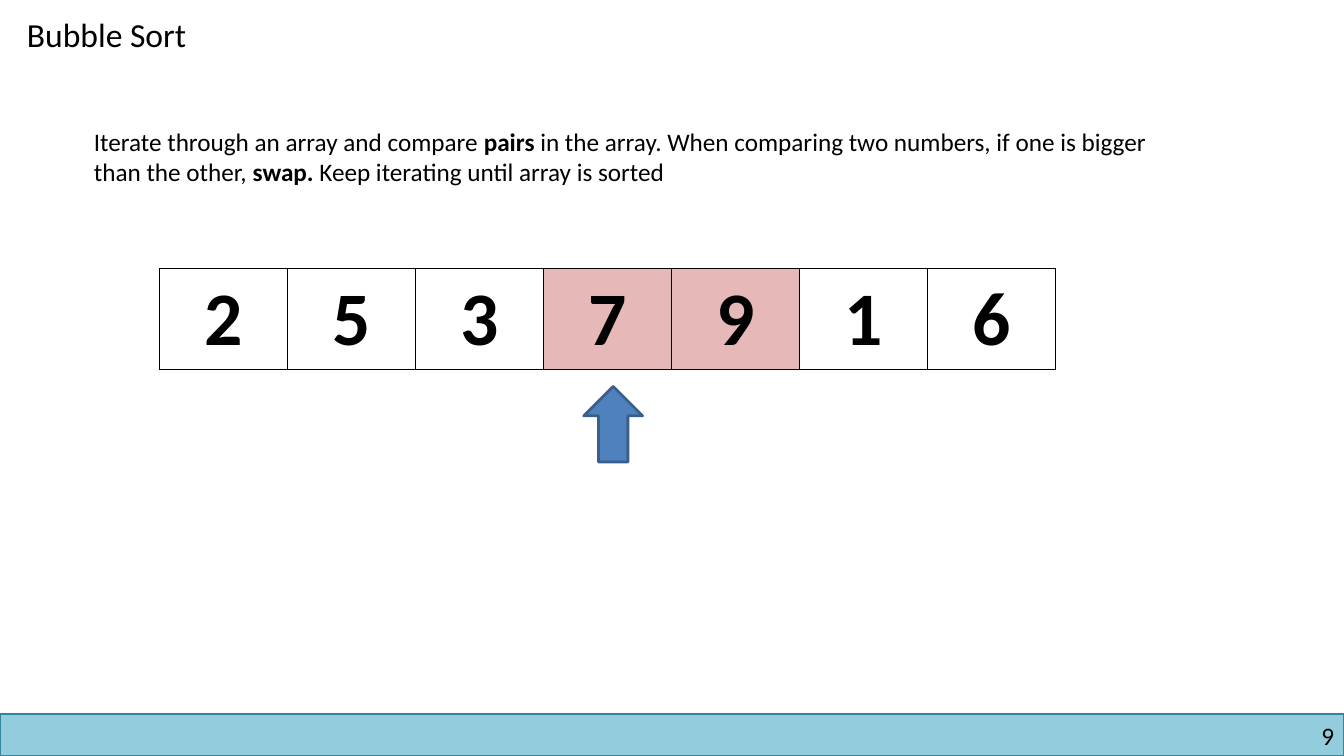
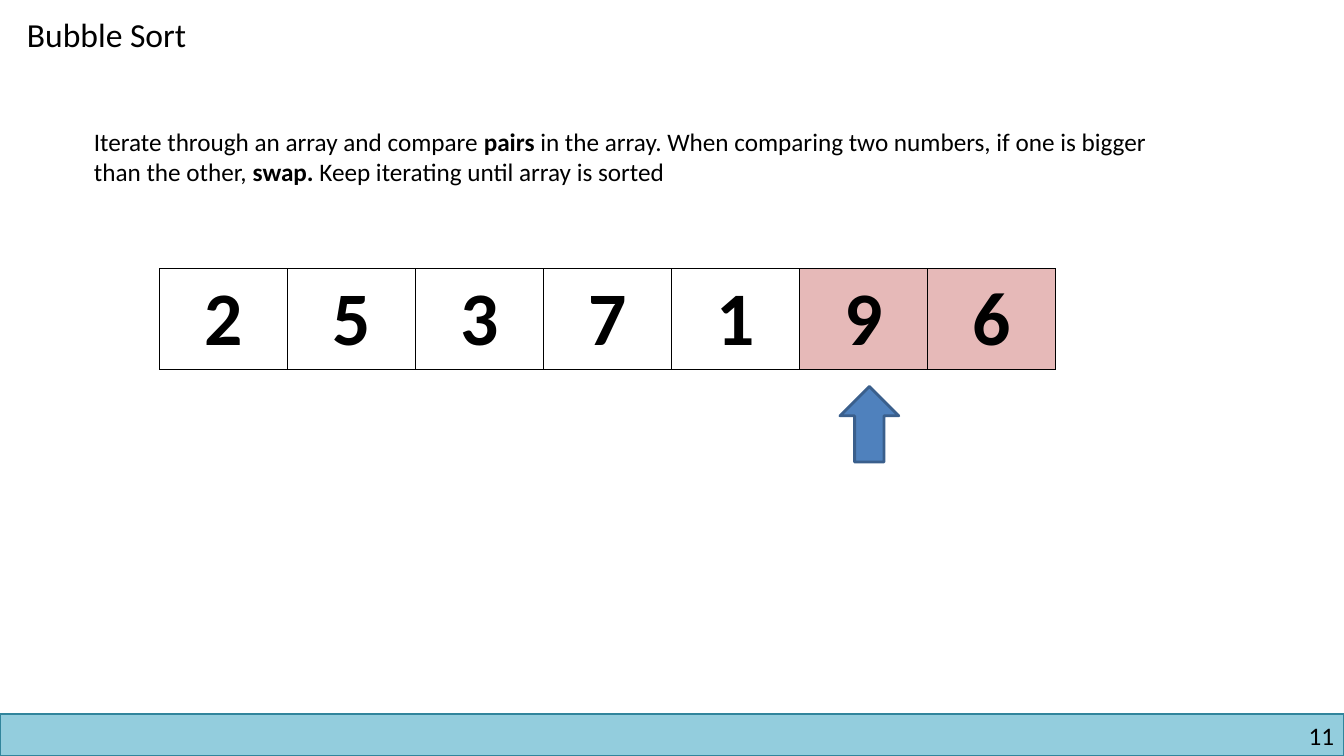
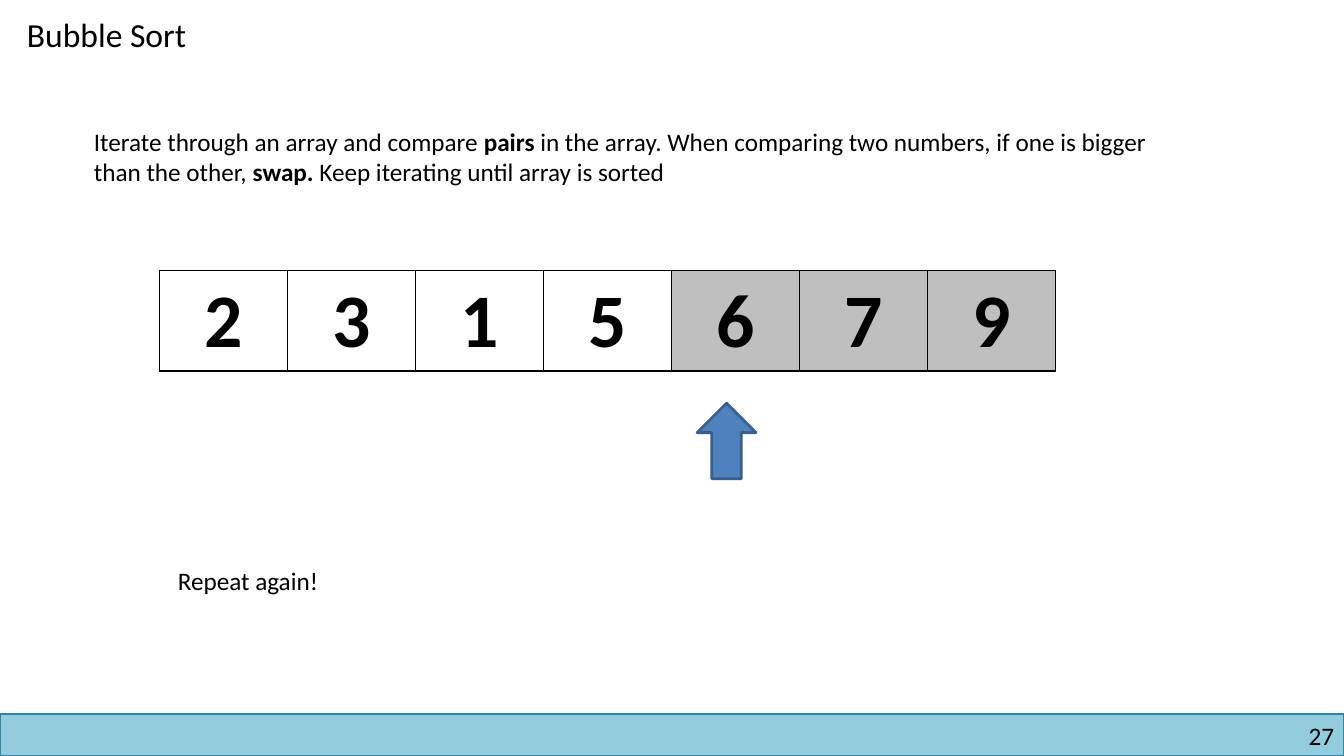
"""Build three bubble sort slides with a shared frame and array table."""
from lxml import etree
from pptx import Presentation
from pptx.dml.color import RGBColor
from pptx.enum.shapes import MSO_SHAPE
from pptx.enum.text import MSO_ANCHOR, MSO_AUTO_SIZE, PP_ALIGN
from pptx.oxml.ns import qn
from pptx.util import Pt

LEFT, CENTER, RIGHT = PP_ALIGN.LEFT, PP_ALIGN.CENTER, PP_ALIGN.RIGHT
TOP = MSO_ANCHOR.TOP
FIXED = MSO_AUTO_SIZE.NONE
RECTANGLE, UP_ARROW = MSO_SHAPE.RECTANGLE, MSO_SHAPE.UP_ARROW

COLORS = {
    "text": "000000",
    "plain": "FFFFFF",
    "compared": "E6B9B8",
    "sorted": "BFBFBF",
    "band": "93CDDD",
    "band_line": "31859C",
    "arrow": "4F81BD",
    "arrow_line": "3A5F8C",
}
FONT = "Calibri"
TITLE_ONLY = 5
WIDTH, HEIGHT = 960, 540
CELL_WIDTH, CELL_HEIGHT = 91.44, 72

RULE = [
    ("Iterate through an array and compare ", False),
    ("pairs", True),
    (" in the array. When comparing two numbers, if one is bigger than the other, ", False),
    ("swap. ", True),
    ("Keep iterating until array is sorted", False),
]


def color(key):
    return RGBColor.from_string(COLORS[key])


class Deck:
    """Hold the style, the presentation and the current slide."""

    def __init__(self):
        self.prs = Presentation()
        self.prs.slide_width, self.prs.slide_height = Pt(WIDTH), Pt(HEIGHT)
        self.slide = None

    def style(self, paragraph, size, align=LEFT):
        paragraph.alignment = align
        for run in paragraph.runs:
            run.font.name = FONT
            run.font.size = Pt(size)
            run.font.color.rgb = color("text")

    def new_slide(self, title, number):
        self.slide = self.prs.slides.add_slide(self.prs.slide_layouts[TITLE_ONLY])
        self.shape(RECTANGLE, 0, 510, WIDTH, 30, "band", 1)
        self.text([(str(number), False)], 732, 514.8, 221, 21.6, align=RIGHT, margin=0)
        self.title(title)

    def title(self, words):
        heading = self.slide.shapes.title
        heading.left, heading.top, heading.width, heading.height = Pt(12), Pt(6), Pt(141), Pt(36)
        frame = heading.text_frame
        frame.text = words
        frame.word_wrap = False
        frame.auto_size = FIXED
        frame.vertical_anchor = TOP
        self.style(frame.paragraphs[0], 24)

    def text(self, parts, left, top, width, height, align=LEFT, margin=None):
        box = self.slide.shapes.add_textbox(Pt(left), Pt(top), Pt(width), Pt(height))
        frame = box.text_frame
        frame.word_wrap = True
        if margin is not None:
            frame.margin_left = frame.margin_right = Pt(margin)
            frame.margin_top = frame.margin_bottom = Pt(margin)
        paragraph = frame.paragraphs[0]
        for words, bold in parts:
            run = paragraph.add_run()
            run.text = words
            run.font.bold = bold
        self.style(paragraph, 18, align)

    def shape(self, kind, left, top, width, height, fill, line_width):
        shape = self.slide.shapes.add_shape(kind, Pt(left), Pt(top), Pt(width), Pt(height))
        shape.shadow.inherit = False
        shape.fill.solid()
        shape.fill.fore_color.rgb = color(fill)
        shape.line.color.rgb = color(fill + "_line")
        shape.line.width = Pt(line_width)

    def borders(self, cell):
        properties = cell._tc.get_or_add_tcPr()
        for side in ("a:lnL", "a:lnR", "a:lnT", "a:lnB"):
            line = etree.SubElement(properties, qn(side), w=str(Pt(1)))
            fill = etree.SubElement(line, qn("a:solidFill"))
            etree.SubElement(fill, qn("a:srgbClr"), val=COLORS["text"])

    def array(self, numbers, marked, mark, top):
        table = self.slide.shapes.add_table(
            1, len(numbers), Pt(114), Pt(top), Pt(CELL_WIDTH * len(numbers)), Pt(CELL_HEIGHT)
        ).table
        table.first_row = table.horz_banding = False
        for index, number in enumerate(numbers):
            table.columns[index].width = Pt(CELL_WIDTH)
            cell = table.cell(0, index)
            self.borders(cell)
            cell.fill.solid()
            cell.fill.fore_color.rgb = color(mark if index in marked else "plain")
            cell.text_frame.text = str(number)
            paragraph = cell.text_frame.paragraphs[0]
            self.style(paragraph, 54, CENTER)
            paragraph.runs[0].font.bold = True

    def step(self, number, numbers, marked, mark, array_top, arrow_left, arrow_top):
        self.new_slide("Bubble Sort", number)
        self.text(RULE, 60, 86.4, 798, 51)
        self.array(numbers, marked, mark, array_top)
        self.shape(UP_ARROW, arrow_left, arrow_top, 42, 54, "arrow", 2)


def main():
    deck = Deck()
    deck.step(9, [2, 5, 3, 7, 9, 1, 6], (3, 4), "compared", 192, 417, 276)
    deck.step(11, [2, 5, 3, 7, 1, 9, 6], (5, 6), "compared", 192, 600, 276)
    deck.step(27, [2, 3, 1, 5, 6, 7, 9], (4, 5, 6), "sorted", 193, 498, 288)
    deck.text([("Repeat again!", False)], 120, 400, 128, 29)
    deck.prs.save("out.pptx")


if __name__ == "__main__":
    main()
